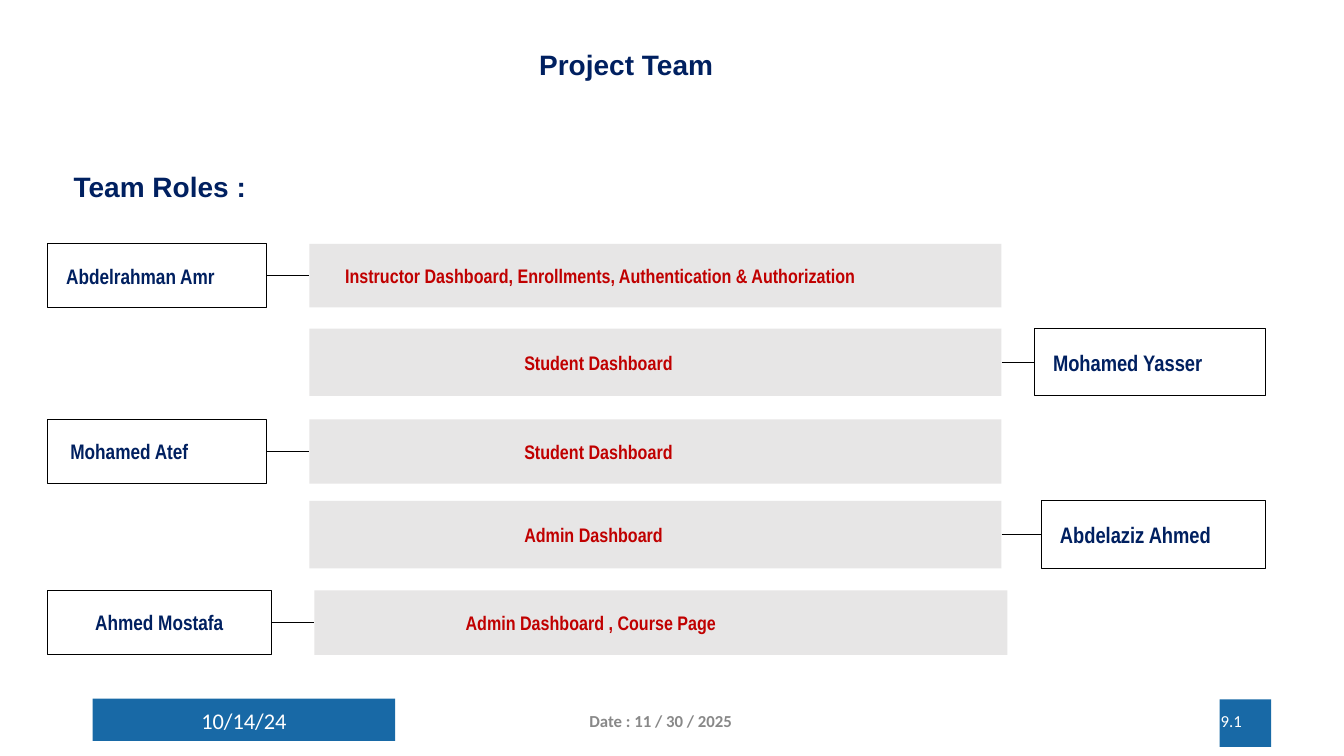
import pptx
import pptx.util
import pptx.dml.color
import pptx.enum.shapes
import pptx.enum.text
import pptx.oxml

Pt = pptx.util.Pt
RGBColor = pptx.dml.color.RGBColor
Align = pptx.enum.text.PP_ALIGN
Anchor = pptx.enum.text.MSO_ANCHOR

NAVY = RGBColor(0x00, 0x20, 0x60)
RED = RGBColor(0xC0, 0x00, 0x00)
BLUE = RGBColor(0x18, 0x69, 0xA6)
PALE = RGBColor(0xE7, 0xE6, 0xE6)
GRAY = RGBColor(0x88, 0x88, 0x88)
BLACK = RGBColor(0x00, 0x00, 0x00)
WHITE = RGBColor(0xFF, 0xFF, 0xFF)

EDGE = 904.3


def write(shape, text, size=14, font="Arial Narrow", color=NAVY, bold=True,
          align=Align.LEFT, anchor=Anchor.MIDDLE, left=7.2, pad=7.2):
    frame = shape.text_frame
    frame.word_wrap = True
    frame.vertical_anchor = anchor
    frame.margin_left, frame.margin_right = Pt(left), Pt(7.2)
    frame.margin_top = frame.margin_bottom = Pt(pad)
    para = frame.paragraphs[0]
    para.alignment = align
    run = para.add_run()
    run.text = text
    run.font.size = Pt(size)
    run.font.name = font
    run.font.bold = bold
    run.font.color.rgb = color


class Deck:
    def __init__(self, slide, ink=BLACK, width=0.75):
        self.slide = slide
        self.ink = ink
        self.width = width

    def rect(self, x, y, w, h, fill=None):
        kind = pptx.enum.shapes.MSO_SHAPE.RECTANGLE
        shape = self.slide.shapes.add_shape(kind, Pt(x), Pt(y), Pt(w), Pt(h))
        shape.shadow.inherit = False
        if fill is None:
            shape.fill.background()
            shape.line.color.rgb = self.ink
            shape.line.width = Pt(self.width)
        else:
            shape.fill.solid()
            shape.fill.fore_color.rgb = fill
            shape.line.fill.background()
        return shape

    def label(self, x, y, w, h, text, **style):
        box = self.slide.shapes.add_textbox(Pt(x), Pt(y), Pt(w), Pt(h))
        write(box, text, **style)

    def link(self, start, end, y):
        kind = pptx.enum.shapes.MSO_CONNECTOR.STRAIGHT
        line = self.slide.shapes.add_connector(kind, Pt(start), Pt(y), Pt(end), Pt(y))
        line.line.color.rgb = self.ink
        line.line.width = Pt(self.width)
        props = line._element.spPr
        props.append(pptx.oxml.parse_xml(
            '<a:effectLst xmlns:a="http://schemas.openxmlformats.org/drawingml/2006/main"/>'))

    def member(self, y, h, name, role, box, bar, style, left):
        x, w = box
        start, span = bar
        write(self.rect(x, y, w, h), name, **style)
        write(self.rect(start, y, span, h, PALE), role, color=RED, left=left)
        if x < start:
            self.link(x + w, start, y + h / 2)
        else:
            self.link(start + span, x, y + h / 2)


def main():
    show = pptx.Presentation()
    show.slide_width, show.slide_height = Pt(960), Pt(540)
    deck = Deck(show.slides.add_slide(show.slide_layouts[6]))

    deck.rect(66.24, 499, 216, 30.2, BLUE)
    deck.rect(871.2, 499.5, 36.7, 34, BLUE)
    foot = {"font": "Calibri", "pad": 3.6}
    deck.label(66.24, 500.4, 216, 28.8, "10/14/24", size=16, color=WHITE,
               bold=False, align=Align.CENTER, **foot)
    deck.label(305.3, 500.4, 336.2, 28.8, "Date : 11 / 30 / 2025 ", size=12,
               color=GRAY, align=Align.CENTER, **foot)
    deck.label(678.2, 500.4, 216, 28.8, "9.1", size=12, color=WHITE,
               bold=False, align=Align.RIGHT, **foot)

    deck.label(378, 30.2, 162, 31.7, "Project Team", size=20, font="Arial",
               anchor=Anchor.TOP, pad=3.6)
    deck.label(16.6, 113.8, 195.1, 38.2, "Team Roles :", size=20, font="Arial",
               align=Align.CENTER)

    near, bar = (33.8, 156.6), (221, 494.4)
    team = [
        (174.2, 45.4, "Abdelrahman Amr",
         "Instructor Dashboard, Enrollments, Authentication & Authorization",
         near, bar, {"size": 15, "left": 13.5}, 25.5),
        (234.7, 48.2, "Mohamed Yasser", "Student Dashboard",
         (738.7, EDGE - 738.7), bar, {"size": 16, "left": 13.5}, 153.5),
        (299.5, 46, "Mohamed Atef", "Student Dashboard",
         near, bar, {"size": 15, "left": 16.5}, 153.5),
        (357.8, 48.2, "Abdelaziz Ahmed", "Admin Dashboard",
         (743.6, EDGE - 743.6), bar, {"size": 16, "left": 13.5}, 153.5),
        (421.7, 46, "Ahmed Mostafa", "Admin Dashboard , Course Page",
         (33.8, 160), (224.6, 495), {"size": 15, "align": Align.CENTER}, 108),
    ]
    for row in team:
        deck.member(*row)

    show.save("out.pptx")


if __name__ == "__main__":
    main()
